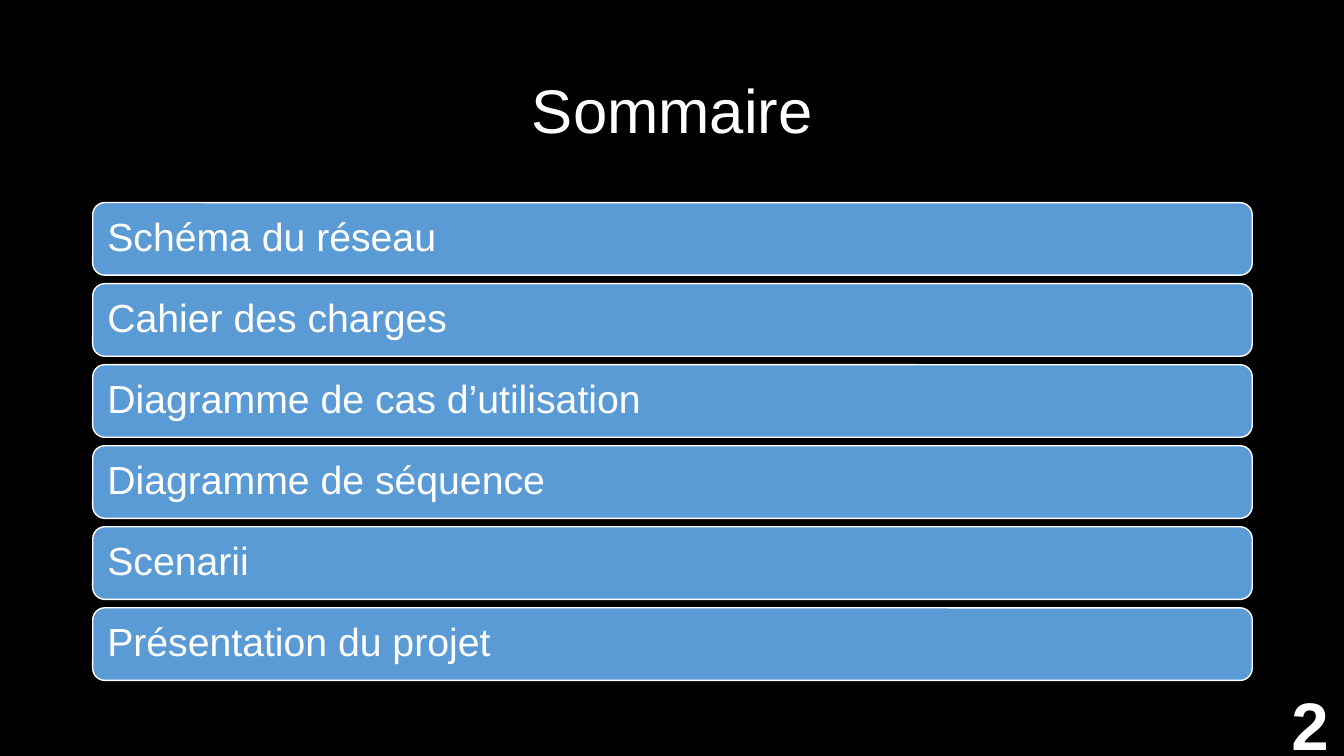
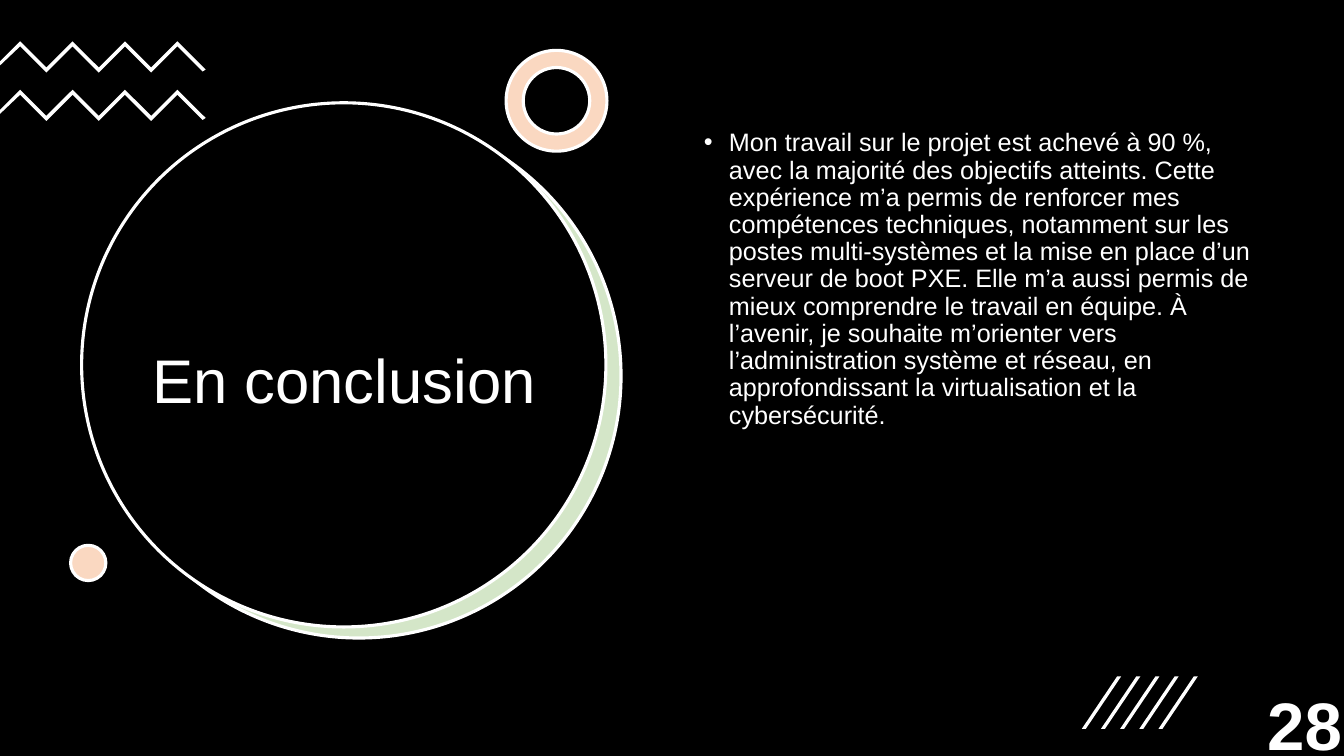
from lxml import etree
from pptx import Presentation
from pptx.dml.color import RGBColor
from pptx.enum.shapes import MSO_SHAPE
from pptx.enum.text import MSO_ANCHOR, MSO_AUTO_SIZE, PP_ALIGN
from pptx.oxml.ns import qn
from pptx.util import Inches, Pt

LEFT, CENTER = PP_ALIGN.LEFT, PP_ALIGN.CENTER
TOP, MIDDLE = MSO_ANCHOR.TOP, MSO_ANCHOR.MIDDLE
OVAL, DONUT, ROUNDED = MSO_SHAPE.OVAL, MSO_SHAPE.DONUT, MSO_SHAPE.ROUNDED_RECTANGLE

BLACK = RGBColor(0x00, 0x00, 0x00)
WHITE = RGBColor(0xFF, 0xFF, 0xFF)
BLUE = RGBColor(0x5B, 0x9B, 0xD5)
PALE_GREEN = RGBColor(0xD4, 0xE6, 0xC8)
PEACH = RGBColor(0xFA, 0xD8, 0xC1)
FONT = "Arial"
SLIDE_W, SLIDE_H = 13.33, 7.5

# Content
AGENDA_TITLE = "Sommaire"
AGENDA = [
    "Schéma du réseau",
    "Cahier des charges",
    "Diagramme de cas d’utilisation",
    "Diagramme de séquence",
    "Scenarii",
    "Présentation du projet",
]
CONCLUSION_TITLE = "En conclusion"
CONCLUSION = (
    "Mon travail sur le projet est achevé à 90 %, avec la majorité des objectifs "
    "atteints. Cette expérience m’a permis de renforcer mes compétences techniques, "
    "notamment sur les postes multi-systèmes et la mise en place d’un serveur de boot "
    "PXE. Elle m’a aussi permis de mieux comprendre le travail en équipe. À l’avenir, "
    "je souhaite m’orienter vers l’administration système et réseau, en approfondissant "
    "la virtualisation et la cybersécurité."
)

# Circles: preset, left, top, diameter, fill
CIRCLES = [
    (OVAL, 0.96, 1.13, 5.2, PALE_GREEN),
    (OVAL, 0.81, 1.02, 5.2, BLACK),
    (DONUT, 5.02, 0.5, 1, PEACH),
    (OVAL, 0.7, 5.41, 0.35, PEACH),
]


def place(sp, left, top, width, height):
    sp.left, sp.top = Inches(left), Inches(top)
    sp.width, sp.height = Inches(width), Inches(height)


def write(sp, text, size, align=LEFT, anchor=MIDDLE, bold=False, spacing=0.9,
          inset=0.1, right_inset=0.1, bullet=False):
    tf = sp.text_frame
    tf.word_wrap = True
    tf.auto_size = MSO_AUTO_SIZE.NONE
    tf.vertical_anchor = anchor
    tf.margin_left, tf.margin_right = Inches(inset), Inches(right_inset)
    tf.margin_top = tf.margin_bottom = Inches(0.05)
    p = tf.paragraphs[0]
    p.alignment, p.line_spacing, p.space_before = align, spacing, Pt(0)
    if bullet:
        pPr = p._p.get_or_add_pPr()
        pPr.set("marL", str(Inches(0.31)))
        pPr.set("indent", str(Inches(-0.25)))
        etree.SubElement(pPr, qn("a:buFont")).set("typeface", FONT)
        etree.SubElement(pPr, qn("a:buChar")).set("char", "•")
    r = p.add_run()
    r.text = text
    r.font.name, r.font.size, r.font.bold = FONT, Pt(size), bold
    r.font.color.rgb = WHITE


def paint(sp, fill, line_width=None):
    sp.shadow.inherit = False
    sp.fill.solid()
    sp.fill.fore_color.rgb = fill
    if line_width:
        sp.line.color.rgb = WHITE
        sp.line.width = Pt(line_width)
    else:
        sp.line.fill.background()


def add_preset(slide, preset, box, fill, line_width):
    sp = slide.shapes.add_shape(preset, *(Inches(v) for v in box))
    paint(sp, fill, line_width)
    return sp


def add_outline(slide, points):
    # Freeform points are whole numbers, so they are given in EMU
    points = [(Inches(x), Inches(y)) for x, y in points]
    builder = slide.shapes.build_freeform(*points[0])
    builder.add_line_segments(points[1:], close=True)
    paint(builder.convert_to_shape(), WHITE)


def add_zigzag(slide, top, step=0.26, thickness=0.05):
    ridge = [(0.2 + step * i, top + step * (i % 2)) for i in range(7)]
    underside = [(x, y + thickness) for x, y in reversed(ridge)]
    tip = [(2.04, top + 0.28), (2.01, top + 0.3)]
    add_outline(slide, ridge + tip + underside + [(0, top + 0.24), (0, top + 0.2)])


def add_slide(prs, layout, title, title_box, number, number_left):
    slide = prs.slides.add_slide(prs.slide_layouts[layout])
    place(slide.shapes.title, *title_box)
    write(slide.shapes.title, title, 44, align=CENTER)
    box = slide.shapes.add_textbox(0, 0, 0, 0)
    place(box, number_left, 6.73, SLIDE_W - number_left, SLIDE_H - 6.73)
    write(box, number, 48, anchor=TOP, bold=True, spacing=1, right_inset=0)
    return slide


def build_agenda(prs):
    slide = add_slide(prs, 5, AGENDA_TITLE, (0.92, 0.4, 11.5, 1.45), "2", 12.71)
    first, last = 2.01, 6.03
    pitch = (last - first) / (len(AGENDA) - 1)
    for i, topic in enumerate(AGENDA):
        bar = add_preset(slide, ROUNDED, (0.92, first + pitch * i, 11.5, 0.72), BLUE, 1)
        write(bar, topic, 28, inset=0.11)


def build_conclusion(prs):
    slide = add_slide(prs, 1, CONCLUSION_TITLE, (1.21, 2.05, 4.41, 3.52), "28", 12.47)
    body = slide.placeholders[1]
    place(body, 6.82, 1.24, 5.71, 4.76)
    write(body, CONCLUSION, 18, anchor=TOP, bullet=True)

    # Circles, with the title brought in front of them
    for preset, left, top, size, fill in CIRCLES:
        circle = add_preset(slide, preset, (left, top, size, size), fill, 2.25)
        if preset == DONUT:
            circle.adjustments[0] = 0.17
    slide.shapes._spTree.append(slide.shapes.title._element)

    # Zigzags and slanted strokes
    for top in (0.41, 0.89):
        add_zigzag(slide, top)
    for i in range(5):
        x = 10.73 + 0.19 * i
        add_outline(slide, [(x + 0.04, 7.23), (x, 7.23), (x + 0.35, 6.71), (x + 0.39, 6.71)])


def main():
    prs = Presentation()
    prs.slide_width, prs.slide_height = Inches(SLIDE_W), Inches(SLIDE_H)
    background = prs.slide_master.background.fill
    background.solid()
    background.fore_color.rgb = BLACK
    build_agenda(prs)
    build_conclusion(prs)
    prs.save("out.pptx")


if __name__ == "__main__":
    main()
